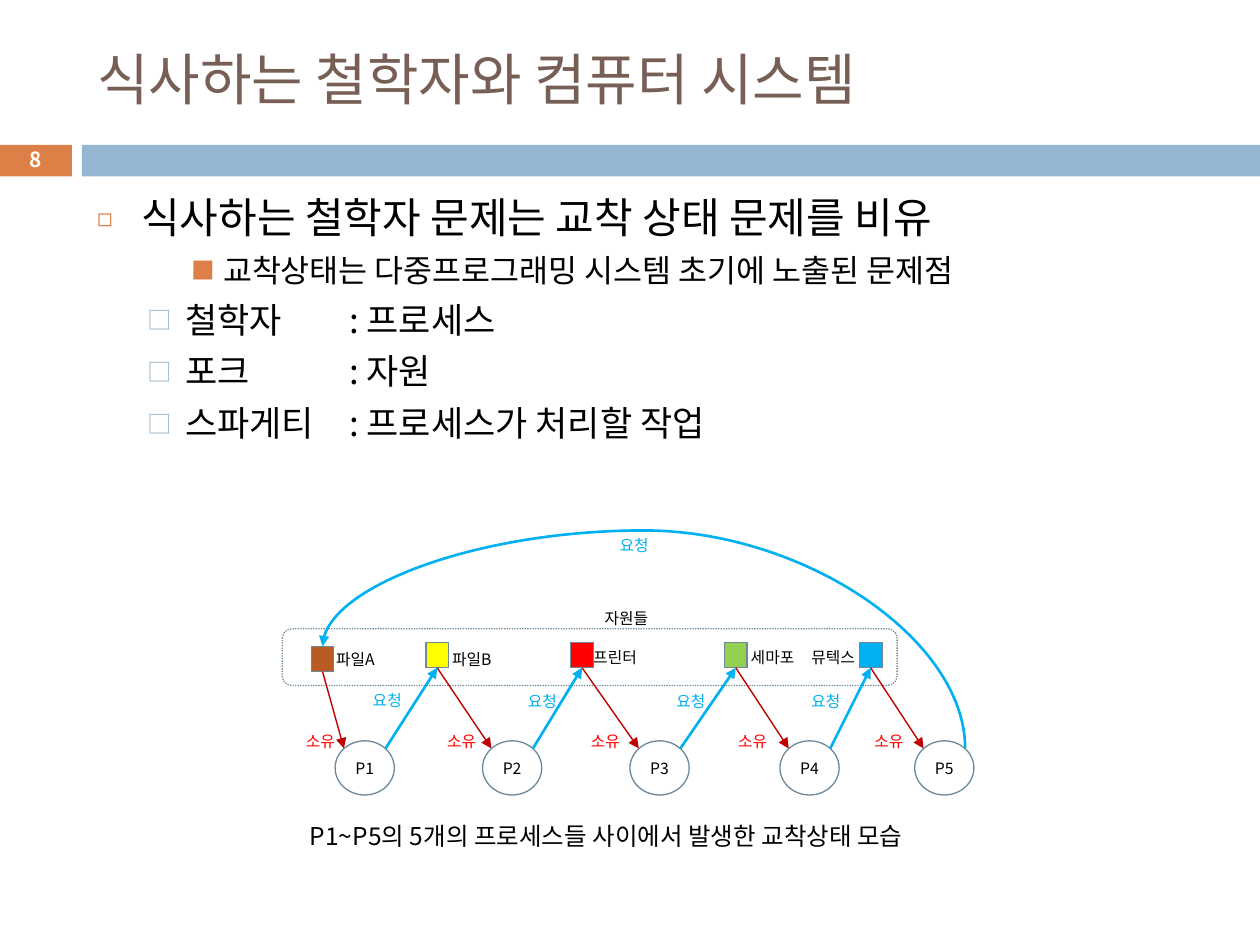
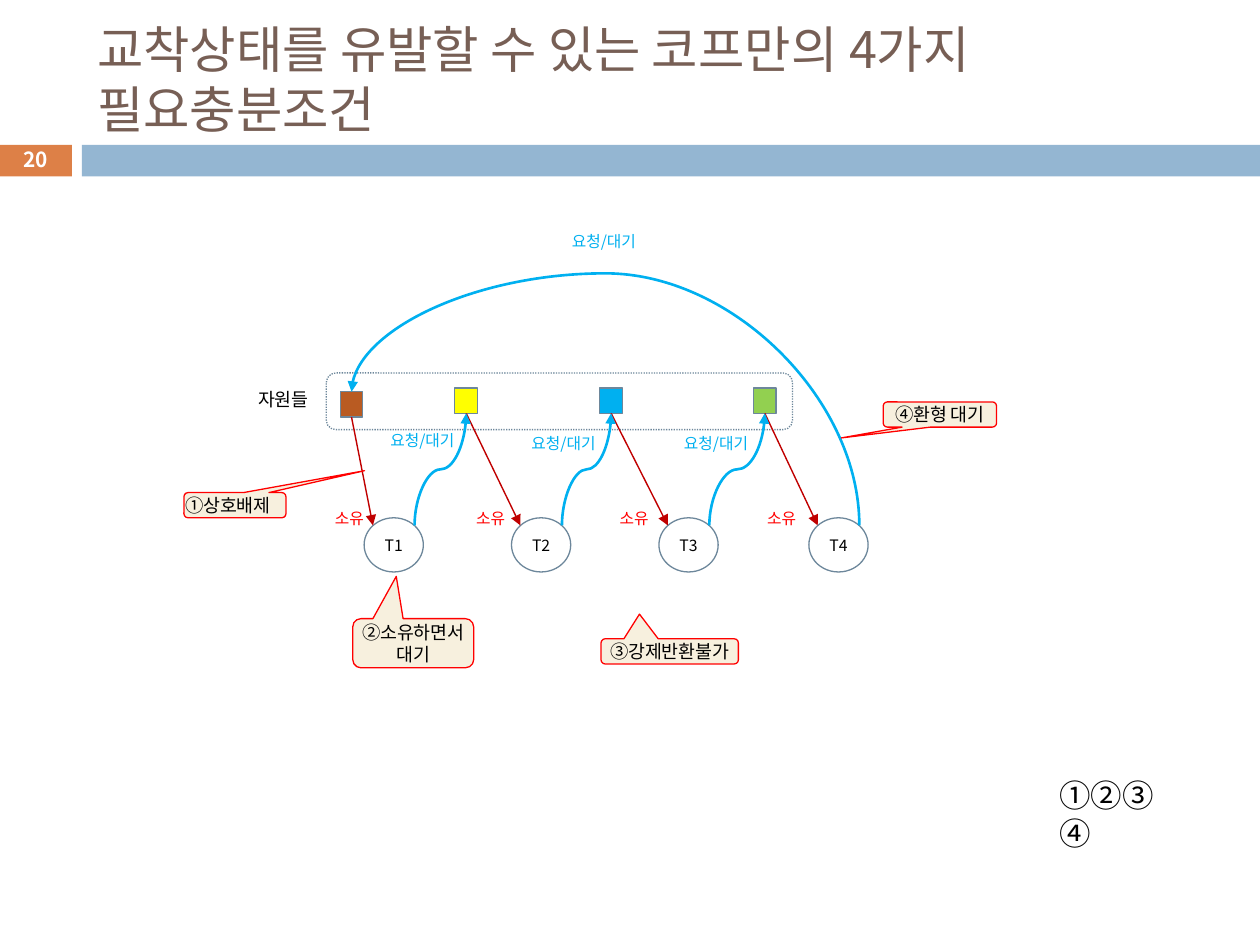
from lxml.etree import SubElement
from pptx import Presentation
from pptx.dml.color import RGBColor
from pptx.enum.dml import MSO_LINE
from pptx.enum.shapes import MSO_CONNECTOR, MSO_SHAPE
from pptx.enum.text import MSO_ANCHOR, MSO_AUTO_SIZE, PP_ALIGN
from pptx.oxml.ns import qn
from pptx.util import Inches, Pt

FONT = "Noto Sans CJK KR"
BLACK = RGBColor(0x00, 0x00, 0x00)
WHITE = RGBColor(0xFF, 0xFF, 0xFF)
TITLE_BROWN = RGBColor(0x77, 0x5F, 0x55)
ORANGE = RGBColor(0xDD, 0x80, 0x47)
BAND_BLUE = RGBColor(0x94, 0xB6, 0xD2)
OUTLINE = RGBColor(0x6D, 0x87, 0x9B)
OWN_RED = RGBColor(0xC0, 0x00, 0x00)
RED = RGBColor(0xFF, 0x00, 0x00)
SKY = RGBColor(0x00, 0xB0, 0xF0)
BROWN = RGBColor(0xB9, 0x5B, 0x22)
YELLOW = RGBColor(0xFF, 0xFF, 0x00)
GREEN = RGBColor(0x92, 0xD0, 0x50)
CREAM = RGBColor(0xF7, 0xF0, 0xDE)

# Bullet levels: level, margin, hanging, space before, character, colour, percent, text size
TOPIC = (0, 0.35, 0.35, 0, "◻", ORANGE, 60, 24)
DETAIL = (2, 1, 0.25, 5, "■", ORANGE, 75, 18)
ANALOGY = (1, 0.7, 0.3, 5.5, "□", BAND_BLUE, 70, 20)

# Diagram columns, from the first resource: resource, process, "소유" label
COLUMNS = [(0, 0.19, -0.14), (0.91, 1.36, 0.98), (2.06, 2.53, 2.12),
           (3.28, 3.72, 3.29), (4.35, 4.79, 4.37)]
RESOURCE_W, RESOURCE_H = 0.18, 0.2
PROCESS_W, PROCESS_H = 0.47, 0.43
FIRST_DROP = 0.03  # the first resource sits slightly lower


# Basic parts
def style_text(frame, size, color=BLACK, align=PP_ALIGN.LEFT, bold=False):
    for paragraph in frame.paragraphs:
        paragraph.alignment = align
        for run in paragraph.runs:
            run.font.size, run.font.bold, run.font.name = Pt(size), bold, FONT
            run.font.color.rgb = color
            SubElement(run.font._element, qn("a:ea"), typeface=FONT)


def add_box(slide, kind, box, fill=None, line=None):
    shape = slide.shapes.add_shape(kind, *map(Inches, box))
    shape.shadow.inherit = False
    if fill is None:
        shape.fill.background()
    else:
        shape.fill.solid()
        shape.fill.fore_color.rgb = fill
    if line is None:
        shape.line.fill.background()
    else:
        shape.line.color.rgb, shape.line.width = line, Pt(0.75)
    return shape


def write_inside(shape, text, size, align=PP_ALIGN.CENTER, anchor=MSO_ANCHOR.MIDDLE):
    frame = shape.text_frame
    frame.margin_left = frame.margin_right = frame.margin_top = frame.margin_bottom = 0
    frame.word_wrap, frame.vertical_anchor = True, anchor
    frame.text = text
    style_text(frame, size, align=align)


def add_label(slide, text, box, size=9, color=BLACK, **style):
    frame = slide.shapes.add_textbox(*map(Inches, box)).text_frame
    frame.word_wrap = True
    frame.text = text
    style_text(frame, size, color, **style)
    return frame


def finish_arrow(arrow, color, width):
    arrow.line.color.rgb, arrow.line.width = color, Pt(width)
    SubElement(arrow.line._get_or_add_ln(), qn("a:tailEnd"), type="triangle")
    SubElement(arrow._element.spPr, qn("a:effectLst"))


def add_arrow(slide, start, end, color, width):
    arrow = slide.shapes.add_connector(MSO_CONNECTOR.STRAIGHT, *map(Inches, start + end))
    finish_arrow(arrow, color, width)


def add_curve(slide, start, end, bend_y):
    """Curve that leaves start upwards, turns at bend_y and enters end vertically."""
    (x0, y0), (x1, y1) = start, end
    rise, run = y0 - y1, abs(x1 - x0)
    left, top = (x0 + x1 - rise) / 2, (y0 + y1 - run) / 2
    curve = slide.shapes.add_connector(
        MSO_CONNECTOR.CURVE, *map(Inches, (left, top, left + rise, top + run)))
    properties = curve._element.spPr
    frame = properties.find(qn("a:xfrm"))
    frame.set("rot", str(270 * 60000))
    if x1 < x0:
        frame.set("flipV", "1")
    guides = properties.find(qn("a:prstGeom")).get_or_add_avLst()
    bend = round((y0 - bend_y) / rise * 100000)
    SubElement(guides, qn("a:gd"), name="adj1", fmla=f"val {bend}")
    finish_arrow(curve, SKY, 1.5)


# Shared slide frame
def add_master_bands(prs, slide):
    bands = [((-0.01, 1.15, 0.58, 0.25), ORANGE), ((0.65, 1.15, 9.35, 0.25), BAND_BLUE)]
    for box, color in bands:
        band = add_box(slide, MSO_SHAPE.RECTANGLE, box, color)
        prs.slide_master.shapes._spTree.append(band._element)


def place(placeholder, left, top, width, height):
    placeholder.left, placeholder.top = Inches(left), Inches(top)
    placeholder.width, placeholder.height = Inches(width), Inches(height)


def add_heading(slide, title, size, number):
    place(slide.shapes.title, 0.67, 0.25, 8.92, 0.74)
    frame = slide.shapes.title.text_frame
    frame.auto_size, frame.vertical_anchor = MSO_AUTO_SIZE.NONE, MSO_ANCHOR.MIDDLE
    frame.text = title
    style_text(frame, size, TITLE_BROWN)
    page = add_label(slide, number, (-0.01, 1.13, 0.58, 0.27), 11.9, WHITE,
                     align=PP_ALIGN.CENTER, bold=True)
    page.vertical_anchor = MSO_ANCHOR.MIDDLE


def fill_list(body, box, items):
    place(body, *box)
    frame = body.text_frame
    frame.auto_size = MSO_AUTO_SIZE.NONE
    frame.text = "\n".join(text for text, _ in items)
    style_text(frame, 20)
    for paragraph, (_, look) in zip(frame.paragraphs, items):
        level, margin, hanging, before, bullet, color, percent, size = look
        paragraph.level = level
        properties = paragraph._p.get_or_add_pPr()
        properties.set("marL", str(Inches(margin)))
        properties.set("indent", str(-Inches(hanging)))
        SubElement(SubElement(properties, qn("a:buClr")), qn("a:srgbClr"), val=str(color))
        SubElement(properties, qn("a:buSzPct"), val=str(percent * 1000))
        SubElement(properties, qn("a:buFont"), typeface=FONT)
        SubElement(properties, qn("a:buChar"), char=bullet)
        tabs = SubElement(properties, qn("a:tabLst"))
        SubElement(tabs, qn("a:tab"), pos=str(Inches(2)), algn="l")
        paragraph.space_before = Pt(before)
        for run in paragraph.runs:
            run.font.size = Pt(size)


# Deadlock cycle: resources above, processes below
def draw_cycle(slide, left, top, process_top, names, colors, frame_box, arch_y, curved):
    frame = add_box(slide, MSO_SHAPE.ROUNDED_RECTANGLE, frame_box, line=OUTLINE)
    frame.line.dash_style = MSO_LINE.ROUND_DOT
    resource_feet, request_starts = [], []
    join_y = process_top + 0.06
    for i, (name, color) in enumerate(zip(names, colors)):
        resource_x, process_x, own_x = (left + offset for offset in COLUMNS[i])
        resource_y = top + (FIRST_DROP if i == 0 else 0)
        add_box(slide, MSO_SHAPE.RECTANGLE,
                (resource_x, resource_y, RESOURCE_W, RESOURCE_H), color, OUTLINE)
        process = add_box(slide, MSO_SHAPE.OVAL,
                          (process_x, process_top, PROCESS_W, PROCESS_H), WHITE, OUTLINE)
        write_inside(process, name, 9)
        foot = (resource_x + RESOURCE_W / 2, resource_y + RESOURCE_H)
        add_arrow(slide, foot, (process_x + 0.07, join_y), OWN_RED, 0.79)
        add_label(slide, "소유", (own_x, process_top - 0.12, 0.45, 0.25), color=RED)
        resource_feet.append(foot)
        request_starts.append((process_x + 0.4, join_y))
    # Each process requests the next resource, the last one the first
    for start, foot in zip(request_starts, resource_feet[1:]):
        if curved:
            add_curve(slide, start, foot, (start[1] + foot[1]) / 2)
        else:
            add_arrow(slide, start, foot, SKY, 1.5)
    first_top = (left + RESOURCE_W / 2, top + FIRST_DROP)
    add_curve(slide, request_starts[-1], first_top, arch_y)


def add_labels(slide, text, places, width, **style):
    for x, y in places:
        add_label(slide, text, (x, y, width, 0.25), **style)


def add_callout(slide, text, box, tip, align=PP_ALIGN.CENTER):
    callout = add_box(slide, MSO_SHAPE.ROUNDED_RECTANGULAR_CALLOUT, box, CREAM, RED)
    callout.adjustments[0], callout.adjustments[1] = tip
    write_inside(callout, text, 10.5, align, MSO_ANCHOR.TOP)


# Slides
def build_philosophers(slide):
    add_heading(slide, "식사하는 철학자와 컴퓨터 시스템", 32, "8")
    fill_list(slide.placeholders[1], (0.67, 1.47, 8.92, 5.51), [
        ("식사하는 철학자 문제는 교착 상태 문제를 비유", TOPIC),
        ("교착상태는 다중프로그래밍 시스템 초기에 노출된 문제점", DETAIL),
        ("철학자\t: 프로세스", ANALOGY),
        ("포크 \t: 자원", ANALOGY),
        ("스파게티 \t: 프로세스가 처리할 작업", ANALOGY),
    ])
    draw_cycle(slide, 2.47, 5.1, 5.88, ["P1", "P2", "P3", "P4", "P5"],
               [BROWN, YELLOW, RED, GREEN, SKY], (2.24, 4.99, 4.88, 0.45), 4.21, False)
    requests = [(2.86, 5.43), (4.09, 5.44), (5.27, 5.44), (6.34, 5.44), (4.82, 4.2)]
    add_labels(slide, "요청", requests, 0.45, color=SKY)
    for name, x, y, width in [("파일A", 2.57, 5.11, 0.54), ("파일B", 3.49, 5.11, 0.53),
                              ("프린터", 4.61, 5.09, 0.58), ("세마포", 5.86, 5.09, 0.58),
                              ("뮤텍스", 6.34, 5.09, 0.58), ("자원들", 4.7, 4.78, 0.58)]:
        add_label(slide, name, (x, y, width, 0.25))
    add_label(slide, "P1~P5의 5개의 프로세스들 사이에서 발생한 교착상태 모습",
              (2.36, 6.47, 5.42, 0.34), 14)


def build_conditions(slide):
    add_heading(slide, "교착상태를 유발할 수 있는 코프만의 4가지 필요충분조건", 28.8, "20")
    draw_cycle(slide, 2.7, 3.08, 4.11, ["T1", "T2", "T3", "T4"],
               [BROWN, YELLOW, SKY, GREEN], (2.59, 2.96, 3.7, 0.45), 2.17, True)
    requests = [(3, 3.37), (4.12, 3.39), (5.33, 3.39), (4.44, 1.79)]
    add_labels(slide, "요청/대기", requests, 0.76, color=SKY)
    add_label(slide, "자원들", (1.95, 3.03, 0.66, 0.29), 10.5)
    add_callout(slide, "①상호배제", (1.46, 3.91, 0.81, 0.2), (1.27, -1.37), PP_ALIGN.LEFT)
    add_callout(slide, "②소유하면서\n대기", (2.8, 4.91, 0.96, 0.39), (-0.14, -1.36))
    add_callout(slide, "③강제반환불가", (4.77, 5.07, 1.09, 0.2), (-0.22, -1.48))
    add_callout(slide, "④환형 대기", (7.01, 3.19, 0.9, 0.2), (-0.87, 0.93))
    add_label(slide, "①②③④", (8.31, 6.11, 1.1, 0.4), 18)


def main():
    prs = Presentation()
    prs.slide_width, prs.slide_height = Inches(10), Inches(7.5)
    title_and_content, title_only = prs.slide_layouts[1], prs.slide_layouts[5]
    philosophers = prs.slides.add_slide(title_and_content)
    add_master_bands(prs, philosophers)
    build_philosophers(philosophers)
    build_conditions(prs.slides.add_slide(title_only))
    prs.save("out.pptx")


if __name__ == "__main__":
    main()
